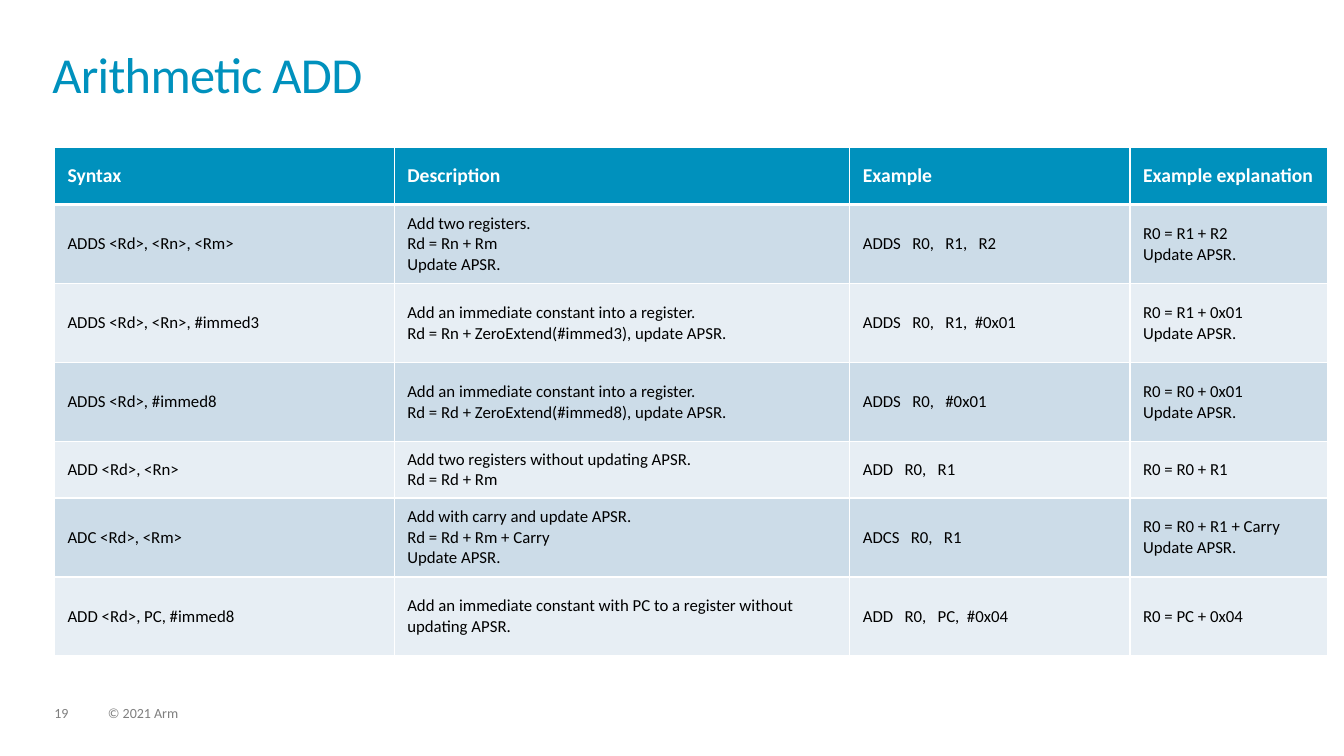
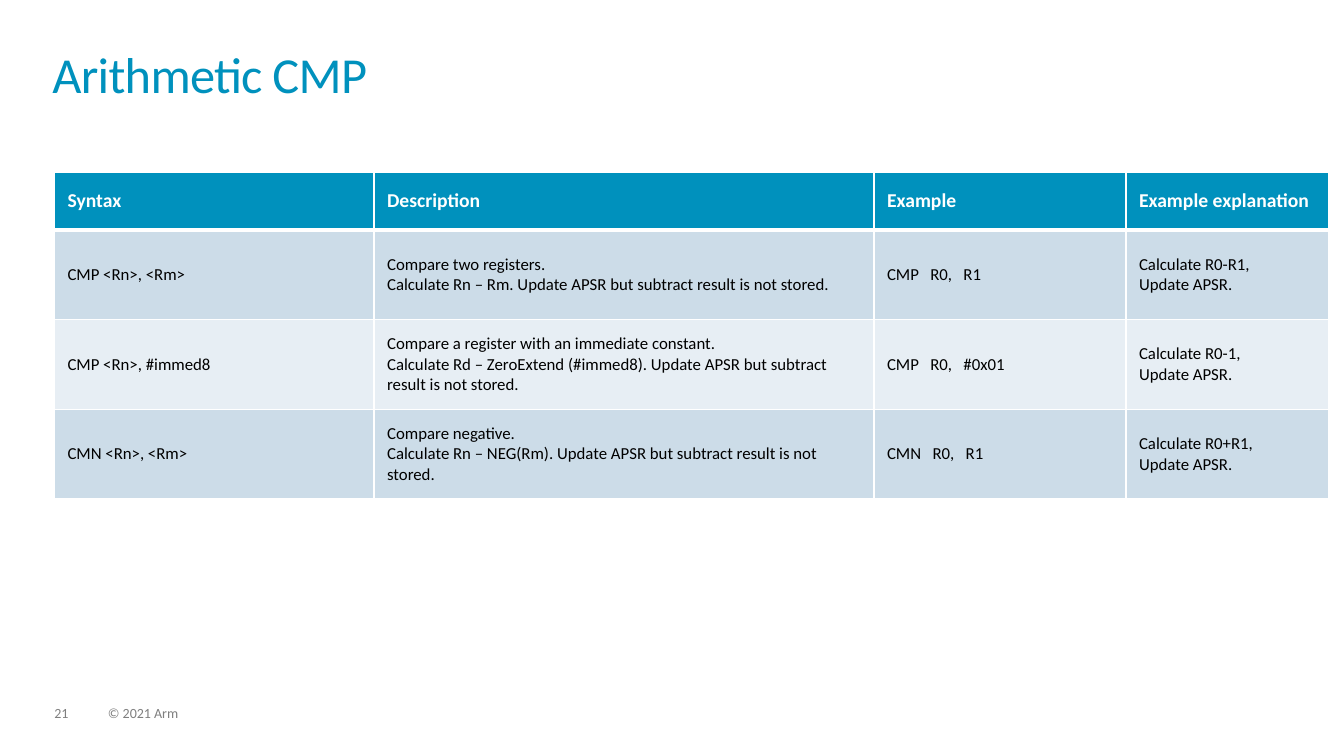
from dataclasses import dataclass

from lxml import etree
from pptx import Presentation
from pptx import util as u
from pptx.dml import color as colors
from pptx.enum import text as enums
from pptx.oxml import ns


@dataclass(frozen=True)
class Theme:
    font: str = "Calibri"
    accent: str = "0091BD"
    white: str = "FFFFFF"
    black: str = "000000"
    gray: str = "7F7F7F"
    bands: tuple = ("CCDCE8", "E7EEF4")
    title_size: int = 36
    header_size: int = 14
    body_size: int = 12
    footer_size: int = 10
    thin: int = 1
    thick: int = 3


THEME = Theme()
GRID = 100
LEFT = 4.05
HEADINGS = ("Syntax", "Description", "Example", "Example explanation")
COPYRIGHT = "© 2021 Arm"


def rgb(value):
    return colors.RGBColor.from_string(value)


def write_text(frame, content, *, size, color, bold=False, line_spacing=None,
               space_after=None, tracking=None):
    for index, line in enumerate(content.split("\n")):
        paragraph = frame.add_paragraph() if index else frame.paragraphs[0]
        paragraph.alignment = enums.PP_ALIGN.LEFT
        if line_spacing is not None:
            paragraph.line_spacing = line_spacing
        if space_after is not None:
            paragraph.space_after = u.Pt(space_after)
        run = paragraph.add_run()
        run.text = line
        run.font.name = THEME.font
        run.font.size = u.Pt(size)
        run.font.bold = bold
        run.font.color.rgb = rgb(color)
        if tracking is not None:
            run._r.get_or_add_rPr().set("spc", str(round(tracking * 100)))


def draw_border(cell, side, width):
    properties = cell._tc.get_or_add_tcPr()
    line = etree.SubElement(properties, ns.qn(f"a:ln{side}"), w=str(u.Pt(width)))
    fill = etree.SubElement(line, ns.qn("a:solidFill"))
    etree.SubElement(fill, ns.qn("a:srgbClr"), val=THEME.white)


class Deck:
    def __init__(self):
        self.presentation = Presentation()
        self.presentation.slide_width = u.Inches(13.33)
        self.presentation.slide_height = u.Inches(7.5)
        self.slide = None

    def columns(self, count):
        return round(self.presentation.slide_width * count / GRID)

    def rows(self, count):
        return round(self.presentation.slide_height * count / GRID)

    def box(self, left, top, width, height):
        return (self.columns(left), self.rows(top),
                self.columns(width), self.rows(height))

    def clear_insets(self, frame):
        frame.margin_left = frame.margin_right = 0
        frame.margin_top = frame.margin_bottom = 0
        frame.vertical_anchor = enums.MSO_ANCHOR.TOP
        frame.word_wrap = True

    def start_slide(self, title, number):
        layout = self.presentation.slide_layouts[5]
        self.slide = self.presentation.slides.add_slide(layout)
        self.add_footer(str(number), LEFT, 2.55)
        self.add_footer(COPYRIGHT, 8.03, 38)
        self.add_title(title)

    def add_title(self, content):
        title = self.slide.shapes.title
        title.left, title.top, title.width, title.height = self.box(3.9, 6.93, 92.1, 9.6)
        frame = title.text_frame
        self.clear_insets(frame)
        frame.auto_size = enums.MSO_AUTO_SIZE.NONE
        write_text(frame, content, size=THEME.title_size, color=THEME.accent,
                   line_spacing=0.85, tracking=-0.5)

    def add_footer(self, content, left, width):
        frame = self.slide.shapes.add_textbox(*self.box(left, 93.47, width, 2)).text_frame
        self.clear_insets(frame)
        frame.auto_size = enums.MSO_AUTO_SIZE.SHAPE_TO_FIT_TEXT
        write_text(frame, content, size=THEME.footer_size, color=THEME.gray,
                   line_spacing=0.9, space_after=6)

    def add_table(self, top, widths, heights, instructions):
        records = [HEADINGS, *instructions]
        area = self.box(LEFT, top, sum(widths), sum(heights))
        table = self.slide.shapes.add_table(len(records), len(HEADINGS), *area).table
        for column, width in zip(table.columns, widths):
            column.width = self.columns(width)
        for index, (row, height, record) in enumerate(zip(table.rows, heights, records)):
            row.height = self.rows(height)
            for cell, content in zip(row.cells, record):
                self.format_cell(cell, content, index)

    def format_cell(self, cell, content, row):
        header = row == 0
        cell.margin_left = cell.margin_right = u.Inches(0.13)
        cell.margin_top = cell.margin_bottom = u.Inches(0.05)
        cell.vertical_anchor = enums.MSO_ANCHOR.MIDDLE
        widths = {"L": THEME.thin, "R": THEME.thin,
                  "T": THEME.thick if row == 1 else THEME.thin,
                  "B": THEME.thick if header else THEME.thin}
        for side, width in widths.items():
            draw_border(cell, side, width)
        cell.fill.solid()
        cell.fill.fore_color.rgb = rgb(THEME.accent if header else THEME.bands[(row - 1) % 2])
        write_text(cell.text_frame, content, bold=header,
                   size=THEME.header_size if header else THEME.body_size,
                   color=THEME.white if header else THEME.black)


ADD_INSTRUCTIONS = [
    ("ADDS <Rd>, <Rn>, <Rm>",
     "Add two registers.\nRd = Rn + Rm\nUpdate APSR.",
     "ADDS   R0,   R1,   R2",
     "R0 = R1 + R2\nUpdate APSR."),
    ("ADDS <Rd>, <Rn>, #immed3",
     "Add an immediate constant into a register.\n"
     "Rd = Rn + ZeroExtend(#immed3), update APSR.",
     "ADDS   R0,   R1,  #0x01",
     "R0 = R1 + 0x01\nUpdate APSR."),
    ("ADDS <Rd>, #immed8",
     "Add an immediate constant into a register.\n"
     "Rd = Rd + ZeroExtend(#immed8), update APSR.",
     "ADDS   R0,   #0x01",
     "R0 = R0 + 0x01\nUpdate APSR."),
    ("ADD <Rd>, <Rn>",
     "Add two registers without updating APSR.\nRd = Rd + Rm",
     "ADD   R0,   R1",
     "R0 = R0 + R1"),
    ("ADC <Rd>, <Rm>",
     "Add with carry and update APSR.\nRd = Rd + Rm + Carry\nUpdate APSR.",
     "ADCS   R0,   R1",
     "R0 = R0 + R1 + Carry\nUpdate APSR."),
    ("ADD <Rd>, PC, #immed8",
     "Add an immediate constant with PC to a register without updating APSR.",
     "ADD   R0,   PC,  #0x04",
     "R0 = PC + 0x04"),
]

CMP_INSTRUCTIONS = [
    ("CMP <Rn>, <Rm>",
     "Compare two registers.\n"
     "Calculate Rn – Rm. Update APSR but subtract result is not stored.",
     "CMP   R0,   R1",
     "Calculate R0-R1,\nUpdate APSR."),
    ("CMP <Rn>, #immed8",
     "Compare a register with an immediate constant.\n"
     "Calculate Rd – ZeroExtend (#immed8). Update APSR but subtract result is not stored.",
     "CMP   R0,   #0x01",
     "Calculate R0-1,\nUpdate APSR."),
    ("CMN <Rn>, <Rm>",
     "Compare negative.\n"
     "Calculate Rn – NEG(Rm). Update APSR but subtract result is not stored.",
     "CMN   R0,   R1",
     "Calculate R0+R1,\nUpdate APSR."),
]


def main():
    deck = Deck()
    deck.start_slide("Arithmetic ADD", 19)
    deck.add_table(19.47, (25.28, 33.9, 20.85, 14.7),
                   (7.6, *[10.45] * 3, 7.47, *[10.45] * 2), ADD_INSTRUCTIONS)
    deck.start_slide("Arithmetic CMP", 21)
    deck.add_table(22.8, (23.78, 37.2, 18.75, 15.08),
                   (7.6, *[11.87] * 3), CMP_INSTRUCTIONS)
    deck.presentation.save("out.pptx")


if __name__ == "__main__":
    main()
